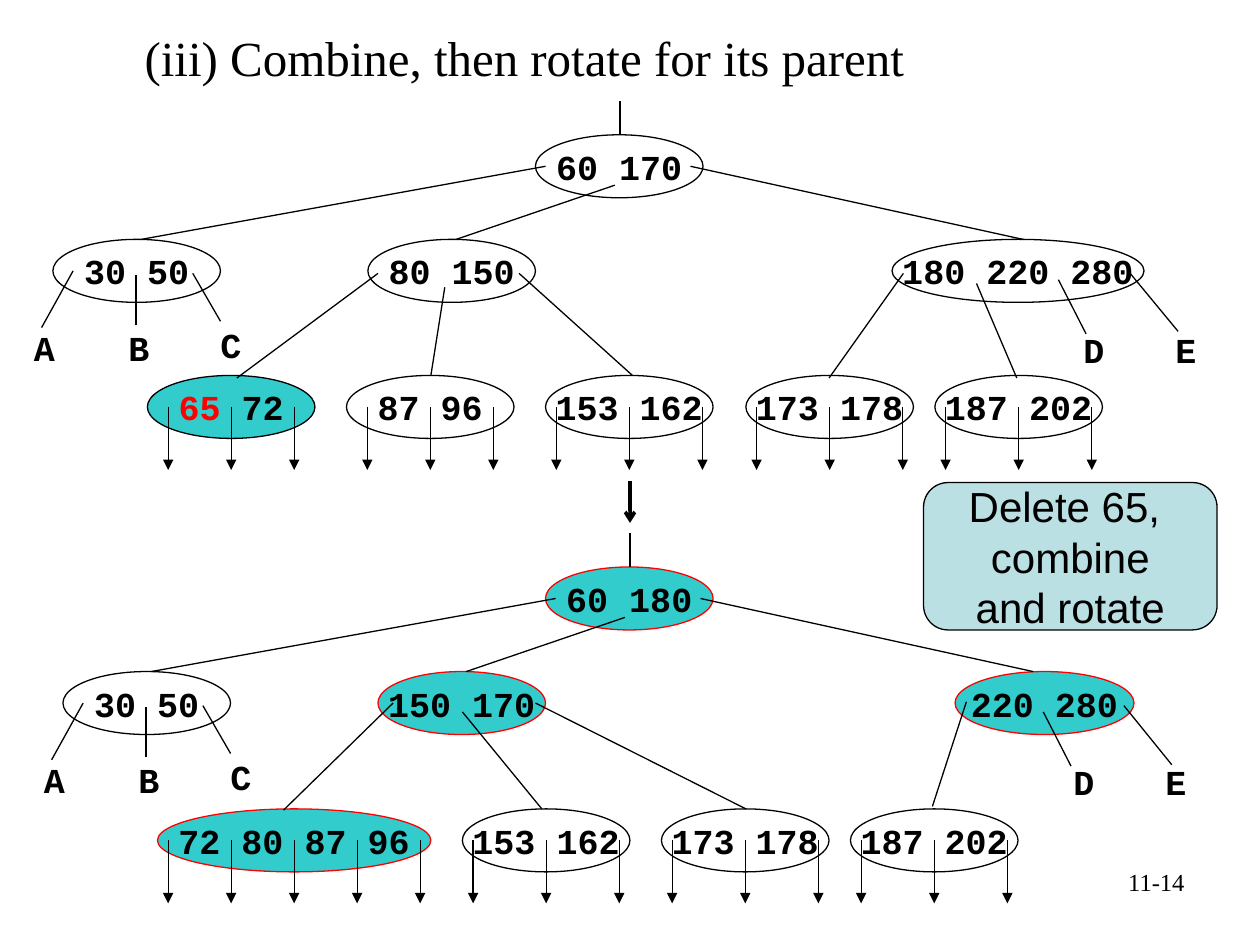
from pptx import Presentation
from pptx.dml.color import RGBColor
from pptx.enum.shapes import MSO_CONNECTOR, MSO_SHAPE
from pptx.enum.text import MSO_ANCHOR, MSO_AUTO_SIZE, PP_ALIGN
from pptx.oxml.ns import qn
from pptx.oxml.xmlchemy import OxmlElement
from pptx.util import Inches, Pt

ELLIPSE = MSO_SHAPE.OVAL
ROUNDED = MSO_SHAPE.FLOWCHART_ALTERNATE_PROCESS
STRAIGHT = MSO_CONNECTOR.STRAIGHT
LEFT, CENTER, RIGHT = PP_ALIGN.LEFT, PP_ALIGN.CENTER, PP_ALIGN.RIGHT
MIDDLE = MSO_ANCHOR.MIDDLE
FIT_SHAPE = MSO_AUTO_SIZE.SHAPE_TO_FIT_TEXT

BLACK, RED, TEAL, PALE = "000000", "FF0000", "33CCCC", "BBE0E3"
NODE_W, NODE_H = 1.33, 0.5
SHIFT_X, SHIFT_Y = 0.08, 3.43  # second tree relative to the first


def rgb(color):
    return RGBColor.from_string(color)


class TreeSlide:
    serif, mono, sans = "Times New Roman", "Courier New", "Arial"

    def __init__(self, slide):
        self.shapes = slide.shapes

    def set_text(self, shape, text, font, size, bold=False, align=LEFT, wrap=False):
        frame = shape.text_frame
        frame.word_wrap = wrap
        frame.text = text
        for paragraph in frame.paragraphs:
            paragraph.alignment = align
            paragraph.font.name = font
            paragraph.font.size = Pt(size)
            paragraph.font.bold = bold
            paragraph.font.color.rgb = rgb(BLACK)

    def label(self, text, x, y, w, h, font, size, fit=True, **style):
        box = self.shapes.add_textbox(Inches(x), Inches(y), Inches(w), Inches(h))
        self.set_text(box, text, font, size, **style)
        if fit:
            box.text_frame.auto_size = FIT_SHAPE

    def box(self, kind, text, x, y, w, h, font, size, fill=None, outline=BLACK, bold=False):
        shape = self.shapes.add_shape(kind, Inches(x), Inches(y), Inches(w), Inches(h))
        shape.shadow.inherit = False
        if fill:
            shape.fill.solid()
            shape.fill.fore_color.rgb = rgb(fill)
        else:
            shape.fill.background()
        shape.line.color.rgb = rgb(outline)
        shape.line.width = Pt(0.75)
        self.set_text(shape, text, font, size, bold, CENTER)
        shape.text_frame.vertical_anchor = MIDDLE
        return shape

    def node(self, keys, x, y, w=NODE_W, fill=None, outline=BLACK):
        return self.box(ELLIPSE, keys, x, y, w, NODE_H, self.mono, 20, fill, outline, True)

    def line(self, x1, y1, x2, y2, width=0.75, head=None):
        connector = self.shapes.add_connector(
            STRAIGHT, Inches(x1), Inches(y1), Inches(x2), Inches(y2))
        connector.line.color.rgb = rgb(BLACK)
        connector.line.width = Pt(width)
        properties = connector.element.spPr
        if head:
            tail_end = OxmlElement("a:tailEnd")
            tail_end.set("type", head)
            properties.find(qn("a:ln")).append(tail_end)
        properties.append(OxmlElement("a:effectLst"))

    def leaf_arrows(self, keys, x, y, w=NODE_W):
        """Draw one arrow more than the leaf has keys, centred on the leaf."""
        values = keys.split()
        step = 0.5 if len(values[0]) == 2 else 0.58
        for i in range(len(values) + 1):
            arrow_x = x + w / 2 + (i - len(values) / 2) * step
            self.line(arrow_x, y + 0.25, arrow_x, y + 0.75, head="triangle")

    def subtree_name(self, name, x, y):
        self.label(name, x, y, 0.36, 0.44, self.mono, 20, bold=True)

    def common_links(self, dx=0, dy=0):
        """Draw the root's links and the A, B, C subtrees, alike in both trees."""
        for x1, y1, x2, y2 in COMMON_LINKS:
            self.line(x1 + dx, y1 + dy, x2 + dx, y2 + dy)
        for name, x, y in [("A", 0.17, 2.54), ("B", 0.92, 2.54), ("C", 1.65, 2.52)]:
            self.subtree_name(name, x + dx, y + dy)

    def tree(self, inner, leaves, links, names, dx=0, dy=0):
        """Draw one tree and return its leaf shapes."""
        for node in inner:
            self.node(*node)
        leaf_shapes = [self.node(*leaf) for leaf in leaves]
        self.common_links(dx, dy)
        for link in links:
            self.line(*link)
        for name in names:
            self.subtree_name(*name)
        for leaf in leaves:
            self.leaf_arrows(*leaf[:4])
        return leaf_shapes


COMMON_LINKS = [
    (4.92, 1.07, 4.92, 0.8),
    (4.33, 1.32, 1.12, 1.9), (4.88, 1.47, 3.62, 1.9), (5.48, 1.32, 8.12, 1.9),
    (0.58, 2.15, 0.33, 2.6), (1.08, 2.58, 1.08, 2.18), (1.75, 2.55, 1.53, 2.17),
]

BEFORE = dict(
    inner=[("60 170", 4.25, 1.07), ("30 50", 0.42, 1.9), ("80 150", 2.92, 1.9),
           ("180 220 280", 7.08, 1.9, 2)],
    leaves=[("65 72", 1.17, 2.98, NODE_W, TEAL), ("87 96", 2.75, 2.98),
            ("153 162", 4.33, 2.98), ("173 178", 5.92, 2.98), ("187 202", 7.42, 2.98)],
    links=[(3, 2.17, 1.88, 3), (3.53, 2.28, 3.42, 2.98), (4.12, 2.17, 5.02, 2.98),
           (7.17, 2.17, 6.58, 3), (7.75, 2.25, 8.07, 3),
           (8.62, 2.65, 8.4, 2.22), (9.35, 2.63, 8.97, 2.17)],
    names=[("D", 8.5, 2.56), ("E", 9.23, 2.56)],
)
AFTER = dict(
    inner=[("60 180", 4.33, 4.5, NODE_W, TEAL, RED), ("30 50", 0.5, 5.33),
           ("150 170", 3, 5.33, NODE_W, TEAL, RED), ("220 280", 7.58, 5.33, 1.42, TEAL, RED)],
    leaves=[("72 80 87 96", 1.25, 6.42, 2.17, TEAL, RED), ("153 162", 3.67, 6.42),
            ("173 178", 5.25, 6.42), ("187 202", 6.75, 6.42)],
    links=[(3.12, 5.58, 2.25, 6.43), (3.67, 5.65, 4.3, 6.42), (4.25, 5.58, 5.92, 6.42),
           (7.67, 5.57, 7.4, 6.4), (8.5, 6.08, 8.28, 5.65), (9.3, 6.07, 8.92, 5.6)],
    names=[("D", 8.42, 5.99), ("E", 9.15, 5.99)],
    dx=SHIFT_X, dy=SHIFT_Y,
)


def main():
    deck = Presentation()
    deck.slide_width, deck.slide_height = Inches(10), Inches(7.5)
    page = TreeSlide(deck.slides.add_slide(deck.slide_layouts[6]))

    page.label("(iii) Combine, then rotate for its parent",
               1.05, 0.17, 6.23, 0.57, page.serif, 28)

    deletion_leaf = page.tree(**BEFORE)[0]
    keys = deletion_leaf.text_frame.paragraphs[0]
    deleted_key = keys.runs[0]
    deleted_key.text = "65"
    deleted_key.font.color.rgb = rgb(RED)
    keys.add_run().text = " 72"

    page.line(5, 3.82, 5, 4.15, width=2, head="arrow")
    page.tree(**AFTER)

    page.box(ROUNDED, "Delete 65, \ncombine\nand rotate",
             7.33, 3.83, 2.33, 1.17, page.sans, 24, fill=PALE)
    page.label("11-14", 7.17, 6.83, 2.33, 0.52, page.serif, 14,
               fit=False, align=RIGHT, wrap=True)
    deck.save("out.pptx")


if __name__ == "__main__":
    main()
